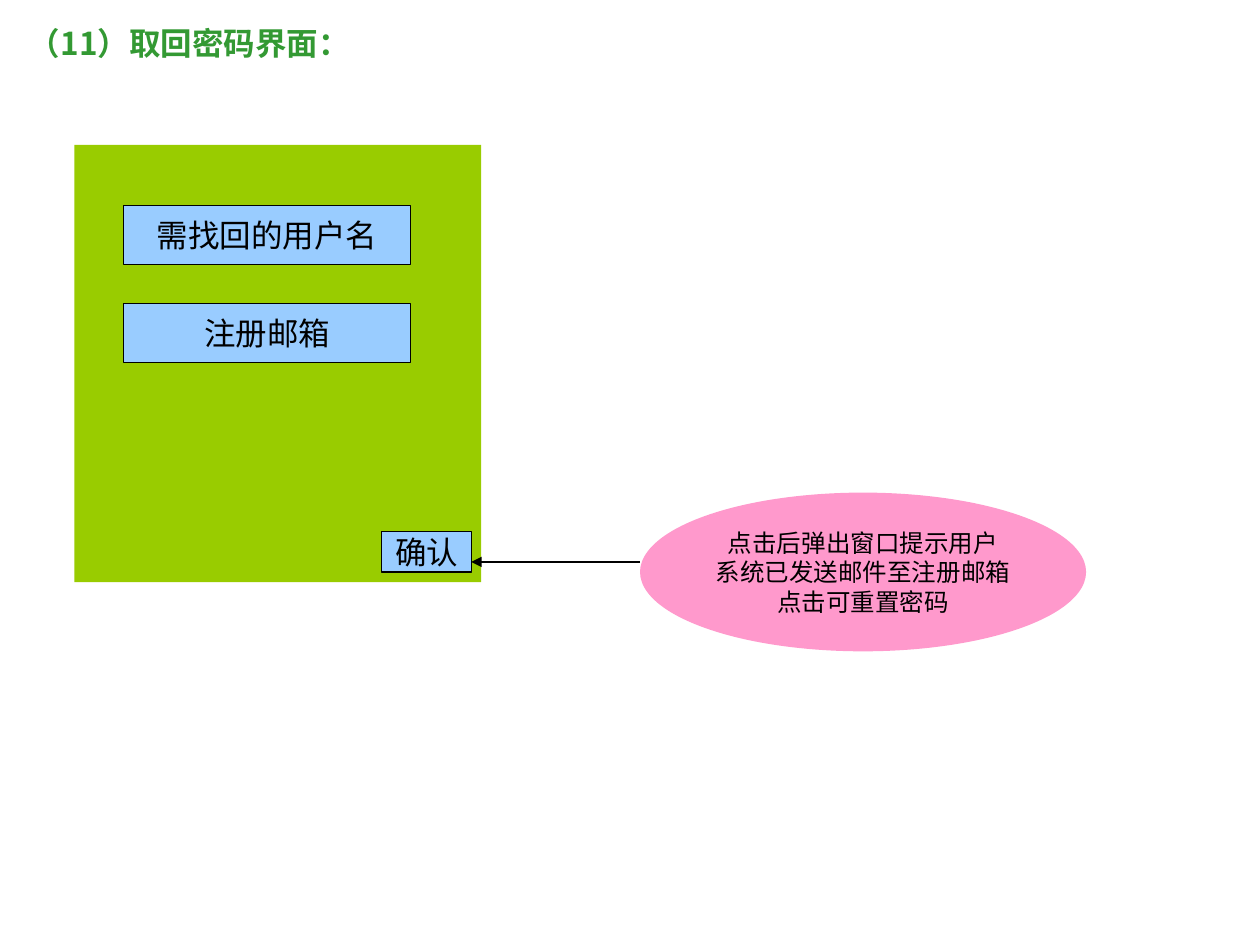
from lxml.etree import SubElement
from pptx import Presentation
from pptx.dml.color import RGBColor
from pptx.enum.shapes import MSO_CONNECTOR, MSO_SHAPE
from pptx.enum.text import MSO_ANCHOR, MSO_AUTO_SIZE, PP_ALIGN
from pptx.oxml.ns import qn
from pptx.util import Inches, Pt

BLACK = RGBColor(0x00, 0x00, 0x00)
TITLE_GREEN = RGBColor(0x33, 0x99, 0x33)
PANEL_GREEN = RGBColor(0x99, 0xCC, 0x00)
FIELD_BLUE = RGBColor(0x99, 0xCC, 0xFF)
NOTE_PINK = RGBColor(0xFF, 0x99, 0xCC)
CJK_FONT = "Noto Sans CJK SC"
LATIN_FONT = "Arial"

TITLE = "（11）取回密码界面："
TITLE_BOX = (0.13, 0.14, 3.14, 0.4)
PANEL_BOX = (0.59, 1.15, 3.23, 3.47)
FIELDS = ["需找回的用户名", "注册邮箱"]
FIELD_LEFT, FIELD_TOP, FIELD_WIDTH, FIELD_HEIGHT = 0.98, 1.63, 2.28, 0.47
FIELD_STEP = 0.78
BUTTON = "确认"
BUTTON_BOX = (3.03, 4.22, 0.71, 0.32)
NOTE = ["点击后弹出窗口提示用户", "系统已发送邮件至注册邮箱", "点击可重置密码"]
NOTE_BOX = (5.08, 3.91, 3.54, 1.26)
ARROW_Y = 4.46


def write_text(shape, lines, size, font_name, color, align, anchor, bold=False):
    frame = shape.text_frame
    frame.word_wrap = False
    frame.auto_size = MSO_AUTO_SIZE.NONE
    frame.vertical_anchor = anchor
    frame.margin_left = frame.margin_right = Inches(0.1)
    frame.margin_top = frame.margin_bottom = Inches(0.05)
    for index, line in enumerate(lines):
        paragraph = frame.add_paragraph() if index else frame.paragraphs[0]
        paragraph.alignment = align
        run = paragraph.add_run()
        run.text = line
        font = run.font
        font.size, font.bold, font.name = Pt(size), bold, font_name
        font.color.rgb = color
        east_asian = SubElement(run._r.get_or_add_rPr(), qn("a:ea"))
        east_asian.set("typeface", CJK_FONT)


def add_box(slide, kind, box, fill, lines=(), size=18, font_name=LATIN_FONT, outlined=False):
    shape = slide.shapes.add_shape(kind, *map(Inches, box))
    shape.shadow.inherit = False
    shape.fill.solid()
    shape.fill.fore_color.rgb = fill
    if outlined:
        shape.line.color.rgb = BLACK
        shape.line.width = Pt(0.75)
    else:
        shape.line.fill.background()
    write_text(shape, lines, size, font_name, BLACK, PP_ALIGN.CENTER, MSO_ANCHOR.MIDDLE)


def add_arrow(slide, start_x, end_x, y):
    arrow = slide.shapes.add_connector(
        MSO_CONNECTOR.STRAIGHT, Inches(start_x), Inches(y), Inches(end_x), Inches(y))
    arrow.line.color.rgb = BLACK
    arrow.line.width = Pt(0.75)
    SubElement(arrow.line._get_or_add_ln(), qn("a:tailEnd")).set("type", "triangle")
    SubElement(arrow._element.spPr, qn("a:effectLst"))


def main():
    presentation = Presentation()
    presentation.slide_width, presentation.slide_height = Inches(10), Inches(7.5)
    slide = presentation.slides.add_slide(presentation.slide_layouts[5])

    title = slide.shapes.title
    title.left, title.top, title.width, title.height = map(Inches, TITLE_BOX)
    write_text(title, [TITLE], 18, CJK_FONT, TITLE_GREEN, PP_ALIGN.LEFT, MSO_ANCHOR.TOP, bold=True)

    add_box(slide, MSO_SHAPE.OVAL, NOTE_BOX, NOTE_PINK, NOTE, 14, CJK_FONT)
    add_box(slide, MSO_SHAPE.RECTANGLE, PANEL_BOX, PANEL_GREEN)
    for index, label in enumerate(FIELDS):
        box = (FIELD_LEFT, FIELD_TOP + index * FIELD_STEP, FIELD_WIDTH, FIELD_HEIGHT)
        add_box(slide, MSO_SHAPE.RECTANGLE, box, FIELD_BLUE, [label], outlined=True)
    add_box(slide, MSO_SHAPE.RECTANGLE, BUTTON_BOX, FIELD_BLUE, [BUTTON], outlined=True)
    add_arrow(slide, NOTE_BOX[0], BUTTON_BOX[0] + BUTTON_BOX[2], ARROW_Y)

    presentation.save("out.pptx")


if __name__ == "__main__":
    main()
